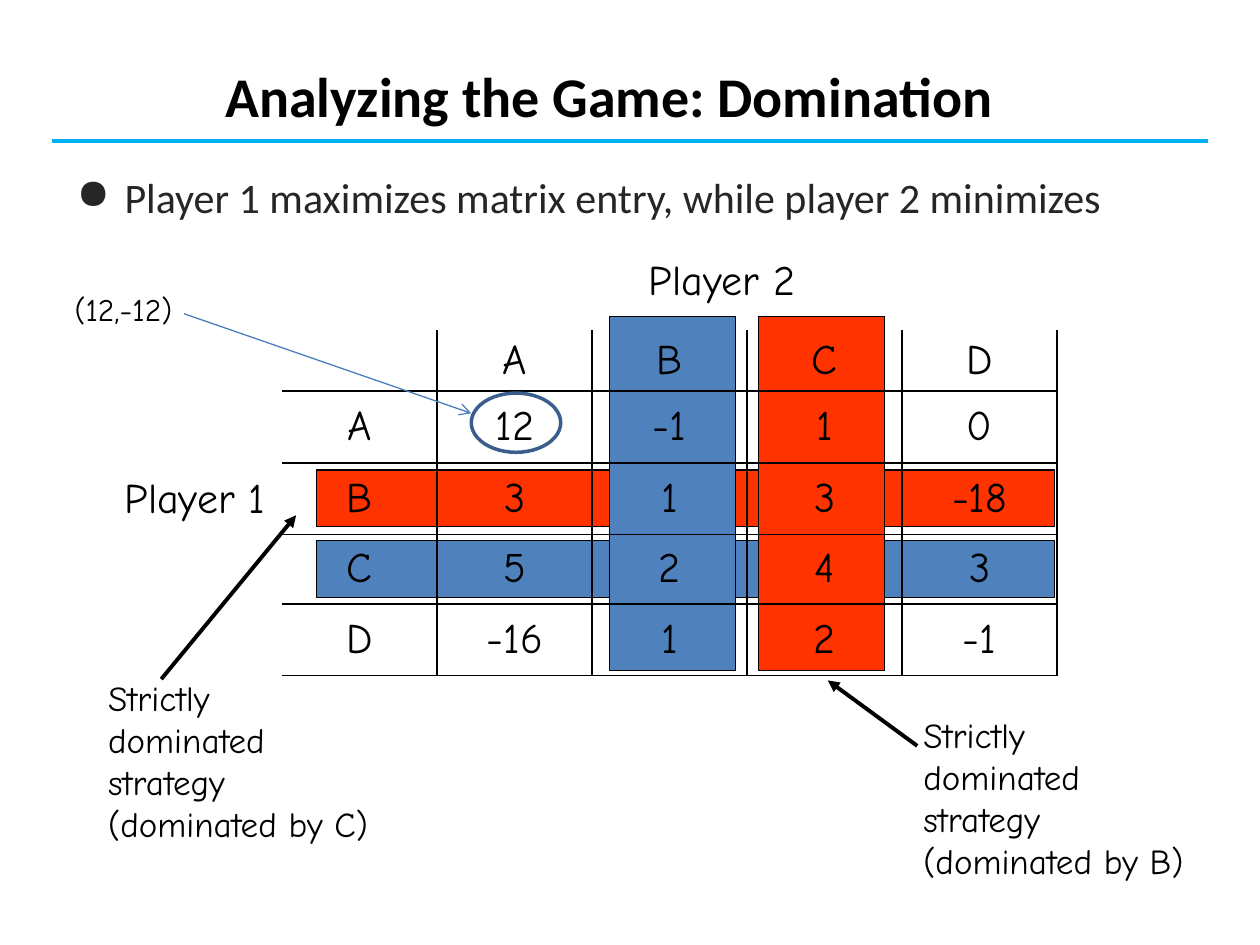
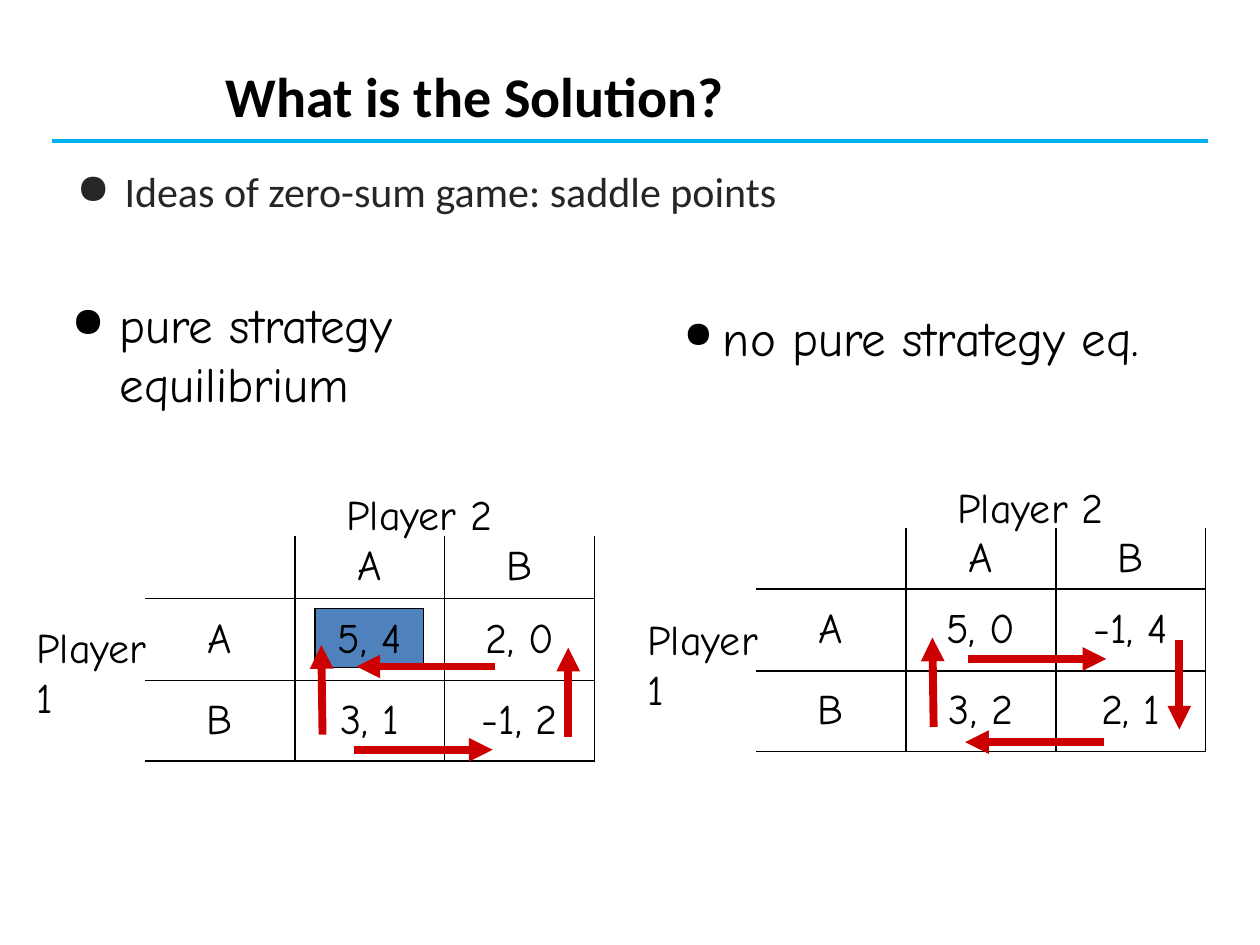
from lxml import etree
from pptx import Presentation
from pptx.dml.color import RGBColor
from pptx.enum.shapes import MSO_CONNECTOR, MSO_SHAPE
from pptx.enum.text import MSO_ANCHOR, MSO_AUTO_SIZE, PP_ALIGN
from pptx.oxml.ns import qn
from pptx.util import Inches, Pt

LINE = MSO_CONNECTOR.STRAIGHT
RECT, OVAL = MSO_SHAPE.RECTANGLE, MSO_SHAPE.OVAL
LEFT, MID = PP_ALIGN.LEFT, PP_ALIGN.CENTER
TOP, CENTER = MSO_ANCHOR.TOP, MSO_ANCHOR.MIDDLE
GROW, FIXED = MSO_AUTO_SIZE.SHAPE_TO_FIT_TEXT, MSO_AUTO_SIZE.NONE

BLACK, GRAY, SKY = "000000", "262626", "00B0F0"
BLUE, RED, NAVY, STEEL, CRIMSON = "4F81BD", "FF3300", "3A5F8C", "4B7EBC", "CC0000"
SANS, COMIC = "Calibri", "Comic Neue"


def hue(code):
    """Turn a hex string into a colour."""
    return RGBColor.from_string(code)


def add(parent, tag, **attrs):
    """Append a DrawingML element to its parent."""
    return etree.SubElement(parent, qn("a:" + tag), attrs)


class Deck:
    """Holds the style and the current slide."""

    def __init__(self):
        """Open an empty deck."""
        self.prs = Presentation()
        self.prs.slide_width, self.prs.slide_height = Inches(10), Inches(7.5)
        self.slide = None

    def start(self, title, point, space=1.0):
        """Add a slide with its title, rule and lead bullet."""
        self.slide = self.prs.slides.add_slide(self.prs.slide_layouts[6])
        self.line((0.41, 1.12), (9.59, 1.12), SKY, 2.25)
        self.text((1.69, 0.44, 7.8, 0.59), [title], 32, SANS, bold=True)
        self.bullet((0.51, 1.31, 8.95, 5.72), point, 24, SANS, GRAY, space=space)

    def run(self, para, words, size, font=COMIC, color=BLACK, bold=False):
        """Add one styled run to a paragraph."""
        piece = para.add_run()
        piece.text = words
        piece.font.name, piece.font.size, piece.font.bold = font, Pt(size), bold
        piece.font.color.rgb = hue(color)

    def text(self, box, lines, size, font=COMIC, color=BLACK, bold=False,
             wrap=True, fit=FIXED, align=LEFT):
        """Add a text box with one paragraph per line."""
        frame = self.slide.shapes.add_textbox(*map(Inches, box)).text_frame
        frame.word_wrap, frame.auto_size, frame.vertical_anchor = wrap, fit, TOP
        for i, words in enumerate(lines):
            para = frame.add_paragraph() if i else frame.paragraphs[0]
            para.alignment = align
            self.run(para, words, size, font, color, bold)
        return frame

    def label(self, box, lines, size=24, wrap=False, align=LEFT):
        """Add a text box that grows with its words."""
        self.text(box, lines, size, wrap=wrap, fit=GROW, align=align)

    def bullet(self, box, words, size, font=COMIC, color=BLACK,
               indent=0.38, scale=100, space=1.0):
        """Add a bulleted paragraph."""
        para = self.text(box, [words], size, font, color).paragraphs[0]
        para.line_spacing = space
        props = para._p.get_or_add_pPr()
        props.set("marL", str(Inches(indent)))
        props.set("indent", str(-Inches(indent)))
        add(props, "buSzPct", val=str(scale * 1000))
        add(props, "buChar", char="●")

    def shape(self, box, fill=None, color=BLACK, width=0.75, kind=RECT):
        """Add an outlined shape, filled or hollow."""
        item = self.slide.shapes.add_shape(kind, *map(Inches, box))
        item.shadow.inherit = False
        if fill:
            item.fill.solid()
            item.fill.fore_color.rgb = hue(fill)
        else:
            item.fill.background()
        item.line.color.rgb, item.line.width = hue(color), Pt(width)

    def line(self, start, end, color, width, head=None):
        """Add a line, with an arrowhead at its end if given."""
        item = self.slide.shapes.add_connector(LINE, *map(Inches, start + end))
        item.line.color.rgb, item.line.width = hue(color), Pt(width)
        props = item._element.spPr
        if head:
            add(props.find(qn("a:ln")), "tailEnd", type=head)
        add(props, "effectLst")

    def edge(self, cell, sides):
        """Draw the borders of a cell, clear where not named."""
        props = cell._tc.get_or_add_tcPr()
        for i, side in enumerate("LRTB"):
            ln = etree.Element(qn("a:ln" + side), w=str(Pt(1)))
            if side in sides:
                add(add(ln, "solidFill"), "srgbClr", val=BLACK)
            else:
                add(ln, "noFill")
            props.insert(i, ln)

    def table(self, spot, width, heights, rows):
        """Add a payoff table that is open at the top and left."""
        size = (width * len(rows[0]), sum(heights))
        grid = self.slide.shapes.add_table(
            len(rows), len(rows[0]), *map(Inches, spot + size)).table
        grid.first_row = grid.horz_banding = False
        for col in grid.columns:
            col.width = Inches(width)
        for r, row in enumerate(rows):
            grid.rows[r].height = Inches(heights[r])
            for c, words in enumerate(row):
                cell = grid.cell(r, c)
                cell.fill.background()
                cell.vertical_anchor = CENTER
                self.edge(cell, "RB" + "L" * (c > 0) + "T" * (r > 0))
                para = cell.text_frame.paragraphs[0]
                para.alignment = MID
                if words:
                    self.run(para, words, 24)

    def game(self, x, y, rows, turned):
        """Add a two by two game with its arrows, some of them turned."""
        self.table((x, y), 1.19, (0.48, 0.65, 0.64), rows)
        self.label((x - 0.96, y + 0.63, 1.24, 0.91), ["Player 1"], wrap=True)
        self.label((x + 1.5, y - 0.42, 1.45, 0.5), ["Player 2"])
        moves = {
            "top": ((2.78, 1.04), (1.68, 1.04)),
            "right": ((3.36, 1.6), (3.36, 0.89)),
            "base": ((2.76, 1.7), (1.66, 1.7)),
            "left": ((1.41, 1.58), (1.4, 0.87)),
        }
        for side, ends in moves.items():
            start, end = [(x + dx, y + dy) for dx, dy in ends]
            if side in turned:
                start, end = end, start
            self.line(start, end, CRIMSON, 4.5, "triangle")


def main():
    """Build both slides and save them."""
    deck = Deck()

    deck.start("Analyzing the Game: Domination",
               "Player 1 maximizes matrix entry, while player 2 minimizes")
    for y, fill in ((4.29, BLUE), (3.73, RED)):
        deck.shape((2.51, y, 5.86, 0.45), fill)
    for x, fill in ((4.84, BLUE), (6.02, RED)):
        deck.shape((x, 2.51, 1, 2.81), fill)
    deck.table((2.24, 2.62), 1.23, (0.48, 0.57, 0.57, 0.55, 0.57), [
        ["", "A", "B", "C", "D"],
        ["A", "12", "-1", "1", "0"],
        ["B", "3", "1", "3", "-18"],
        ["C", "5", "2", "4", "3"],
        ["D", "-16", "1", "2", "-1"],
    ])
    deck.label((0.89, 3.69, 1.4, 0.5), ["Player 1"])
    deck.label((5.05, 1.96, 1.45, 0.5), ["Player 2"])
    for x, y, winner in ((0.76, 5.32, "C"), (7.23, 5.61, "B")):
        deck.label((x, y, 2.42, 1.45),
                   ["Strictly", "dominated", "strategy", f"(dominated by {winner})"], 20)
    deck.line((1.28, 5.39), (2.35, 4.09), BLACK, 2.25, "triangle")
    deck.line((7.28, 5.92), (6.57, 5.4), BLACK, 2.25, "triangle")
    deck.shape((3.74, 3.12, 0.71, 0.47), None, NAVY, 2, OVAL)
    deck.line((1.46, 2.49), (3.74, 3.28), STEEL, 0.75, "arrow")
    deck.label((0.43, 2.25, 1.1, 0.4), ["(12,-12)"], 18, align=MID)

    deck.start("What is the Solution?", "Ideas of zero-sum game: saddle points", 0.9)
    deck.shape((2.5, 4.83, 0.86, 0.47), BLUE)
    deck.bullet((0.47, 2.29, 3.38, 0.65), "pure strategy equilibrium", 28, scale=85)
    deck.bullet((5.33, 2.39, 4.4, 0.65), "no pure strategy eq.", 28,
                indent=0.31, scale=75)
    deck.game(6, 4.19, [["", "A", "B"], ["A", "5, 0", "-1, 4"], ["B", "3, 2", "2, 1"]],
              ("top", "right"))
    deck.game(1.15, 4.25, [["", "A", "B"], ["A", "5, 4", "2, 0"], ["B", "3, 1", "-1, 2"]],
              ("base",))

    deck.prs.save("out.pptx")


if __name__ == "__main__":
    main()
